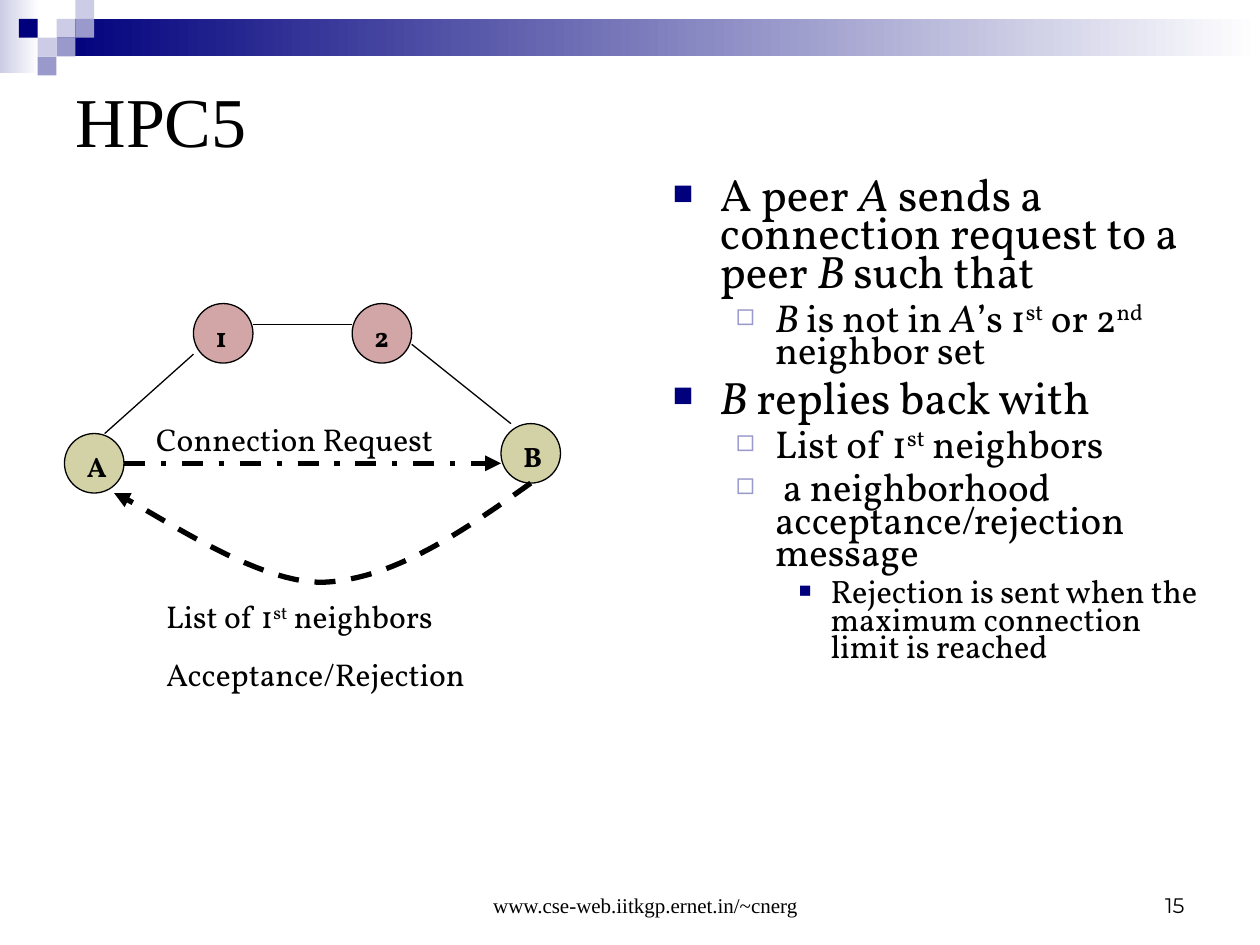
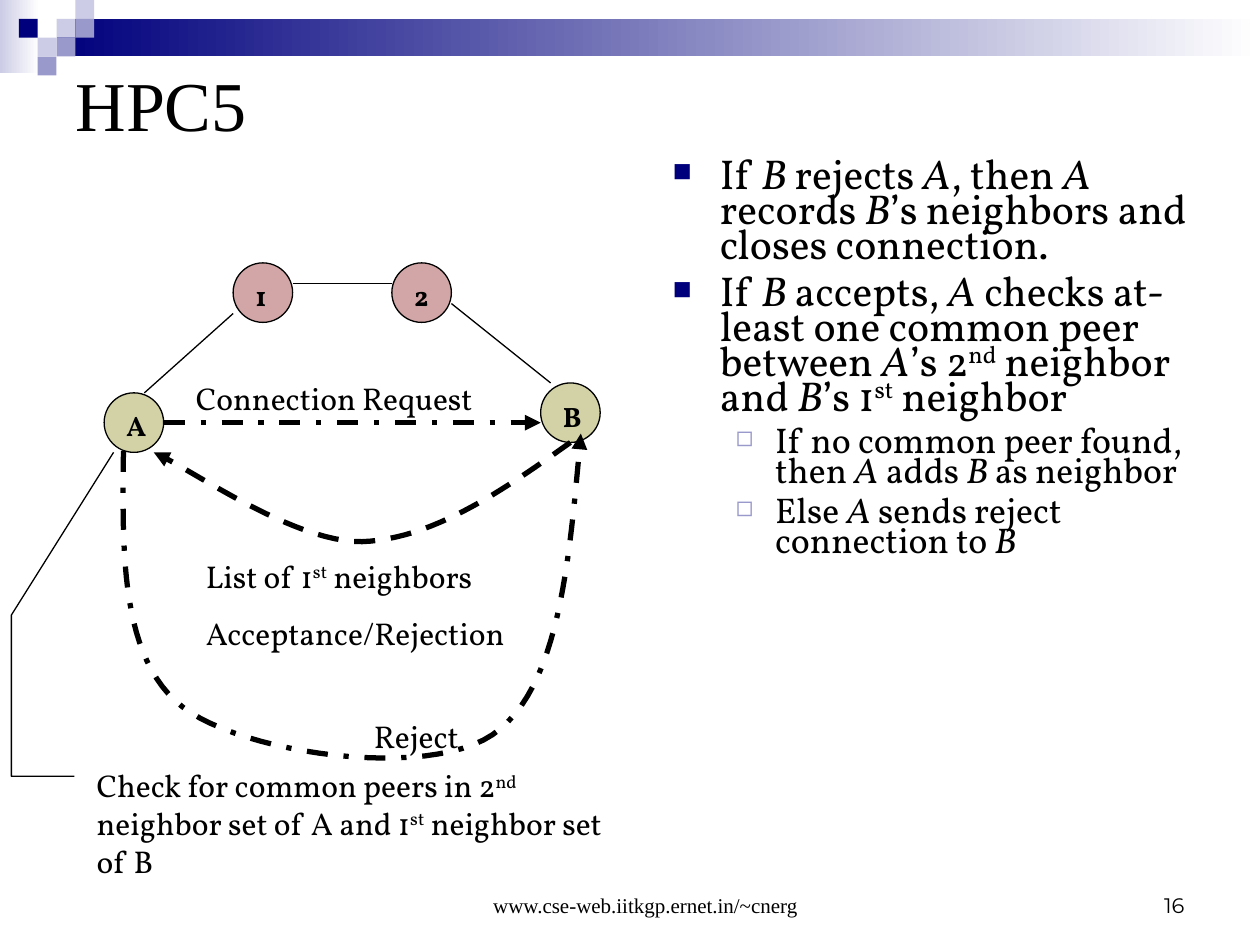
from lxml.etree import SubElement
from pptx import Presentation
from pptx.dml.color import RGBColor
from pptx.enum.dml import MSO_LINE
from pptx.enum.shapes import MSO_CONNECTOR, MSO_SHAPE
from pptx.enum.text import MSO_ANCHOR, MSO_AUTO_SIZE, PP_ALIGN
from pptx.oxml.ns import qn
from pptx.util import Cm, Pt

BLACK = RGBColor(0x00, 0x00, 0x00)
WHITE = RGBColor(0xFF, 0xFF, 0xFF)
NAVY = RGBColor(0x00, 0x00, 0x7D)
LAVENDER = RGBColor(0x99, 0x99, 0xCC)
PALE = RGBColor(0xCC, 0xCC, 0xE6)
OLIVE = RGBColor(0x80, 0x80, 0x00)
MAROON = RGBColor(0x80, 0x00, 0x00)

SERIF, TEXT_FONT, NUMBER_FONT = "Times New Roman", "Vollkorn", "Montserrat"
TITLE = {"size": Pt(40), "name": SERIF}
LABEL = {"size": Pt(18), "name": TEXT_FONT}
NODE = {"size": Pt(16), "name": TEXT_FONT, "bold": True}
FOOTER = {"size": Pt(12), "name": SERIF}
PAGE_NUMBER = {"size": Pt(12), "name": NUMBER_FONT}

# Per list level: font size, space before, left margin, indent, bullet, colour, bullet size
LEVELS = [
    (28, 7, 0.95, -0.95, "■", NAVY, 75),
    (24, 6, 2.06, -0.79, "◻", LAVENDER, 80),
    (20, 5, 3.18, -0.64, "■", NAVY, 65),
]

SQUARE = 0.38
MOSAIC = [(3, 1, PALE), (4, 0, PALE), (4, 1, LAVENDER), (2, 2, PALE),
          (1, 1, NAVY), (3, 2, LAVENDER), (2, 3, LAVENDER)]

# Peer diagram, in cm from the corner of node A
NODES = [("A", 0, 0, OLIVE), ("1", 2.6, -2.62, MAROON),
         ("2", 5.8, -2.62, MAROON), ("B", 8.8, -0.2, OLIVE)]
NEIGHBOR_LINKS = [((0.81, 0), (2.6, -1.6)), ((3.8, -2.2), (5.8, -2.2)),
                  ((7, -1.8), (9, -0.2))]
REPLY_CURVE = [(9.4, 1), (8, 2), (6.6, 2.95), (5.2, 3), (3.8, 3.02), (1.7, 1.5), (1, 1.2)]

REJECT_CURVE = [(2.49, 9.09), (2.46, 11.2), (2.44, 13.28), (3.68, 14.25), (4.9, 15.19),
                (8.59, 15.72), (9.93, 14.81), (11.28, 13.89), (11.48, 11.3), (11.71, 8.74)]
CHECK_LEADER = [(1.5, 15.65), (0.23, 15.65), (0.23, 12.4), (2.29, 9.12)]

# In all texts "|" parts spans; a leading "/" makes one italic, "^" raises it
REQUEST_POINTS = [
    (0, "A peer |/A| sends a connection request to a peer |/B| such that"),
    (1, "/B| is not in |/A|’s 1|^st| or 2|^nd| neighbor set"),
    (0, "/B| replies back with"),
    (1, "List of 1|^st| neighbors"),
    (1, " a neighborhood acceptance/rejection message"),
    (2, "Rejection is sent when the maximum connection limit is reached"),
]
DECISION_POINTS = [
    (0, "If |/B| rejects |/A|, then |/A| records |/B|’s neighbors and closes connection."),
    (0, "If |/B| accepts, |/A| checks at-least one common peer between "
        "|/A|’s 2|^nd| neighbor and |/B|’s 1|^st| neighbor"),
    (1, "If no common peer found, then |/A| adds |/B| as neighbor"),
    (1, "Else |/A| sends reject connection to |/B"),
]


def set_all(target, values):
    for name, value in values.items():
        setattr(target, name, value)


def place(shape, left, top, width, height):
    set_all(shape, {"left": Cm(left), "top": Cm(top),
                    "width": Cm(width), "height": Cm(height)})


def bezier_points(controls, steps=24):
    """Sample a chain of cubic curves whose neighbours share an end point."""
    points = [controls[0]]
    for first in range(0, len(controls) - 1, 3):
        segment = controls[first:first + 4]
        for step in range(1, steps + 1):
            t = step / steps
            weights = ((1 - t) ** 3, 3 * t * (1 - t) ** 2, 3 * t * t * (1 - t), t ** 3)
            points.append(tuple(sum(w * p[axis] for w, p in zip(weights, segment))
                                for axis in (0, 1)))
    return points


class DeckBuilder:
    def __init__(self):
        self.deck = Presentation()
        set_all(self.deck, {"slide_width": Cm(25.4), "slide_height": Cm(19.05)})
        self.page = None

    def new_page(self, number):
        self.page = self.deck.slides.add_slide(self.deck.slide_layouts[1])
        self.gradient_bar(0, 0, 0.79, 1.47, PALE)
        self.gradient_bar(1.14, SQUARE, 24.26, 2 * SQUARE, NAVY)
        for column, row, color in MOSAIC:
            square = self.shape(MSO_SHAPE.RECTANGLE, column * SQUARE, row * SQUARE,
                                SQUARE, SQUARE)
            square.fill.solid()
            square.fill.fore_color.rgb = color
            square.line.fill.background()
        footer = self.text(8.69, 17.35, 8.05, 1.27, ["www.cse-web.iitkgp.ernet.in/~cnerg"],
                           FOOTER, PP_ALIGN.CENTER, MSO_ANCHOR.BOTTOM)
        footer.paragraphs[0]._p.get_or_add_pPr().set("marL", str(Cm(0.6)))
        self.text(18.21, 17.35, 5.92, 1.27, [number], PAGE_NUMBER,
                  PP_ALIGN.RIGHT, MSO_ANCHOR.BOTTOM)

    def shape(self, kind, left, top, width, height):
        shape = self.page.shapes.add_shape(kind, Cm(left), Cm(top), Cm(width), Cm(height))
        shape.shadow.inherit = False
        return shape

    def gradient_bar(self, left, top, width, height, color):
        bar = self.shape(MSO_SHAPE.RECTANGLE, left, top, width, height)
        bar.fill.gradient()
        bar.fill.gradient_angle = 180
        for stop, stop_color in zip(bar.fill.gradient_stops, (WHITE, color)):
            stop.color.rgb = stop_color
        bar.line.fill.background()

    def spans(self, para, marked_text, style):
        for part in marked_text.split("|"):
            span = para.add_run()
            span.text = part[1:] if part[0] in "/^" else part
            set_all(span.font, style)
            span.font.color.rgb = BLACK
            if part[0] == "/":
                span.font.italic = True
            elif part[0] == "^":
                span._r.get_or_add_rPr().set("baseline", "30000")

    def text(self, left, top, width, height, lines, style,
             align=PP_ALIGN.LEFT, anchor=MSO_ANCHOR.TOP):
        box = self.page.shapes.add_textbox(Cm(left), Cm(top), Cm(width), Cm(height))
        frame = box.text_frame
        set_all(frame, {"word_wrap": True, "vertical_anchor": anchor})
        for index, line in enumerate(lines):
            para = frame.add_paragraph() if index else frame.paragraphs[0]
            set_all(para, {"alignment": align, "space_before": Pt(11.2 if index else 0)})
            self.spans(para, line, style)
        return frame

    def title(self, words, height):
        title = self.page.shapes.title
        place(title, 1.27, 1.27, 22.86, height)
        set_all(title.text_frame, {"vertical_anchor": MSO_ANCHOR.MIDDLE,
                                   "auto_size": MSO_AUTO_SIZE.NONE})
        para = title.text_frame.paragraphs[0]
        para.alignment = PP_ALIGN.LEFT
        self.spans(para, words, TITLE)

    def bullets(self, points, top, scale):
        body = self.page.placeholders[1]
        place(body, 13.31, top, 11.25, 10.8)
        frame = body.text_frame
        set_all(frame, {"vertical_anchor": MSO_ANCHOR.TOP, "auto_size": MSO_AUTO_SIZE.NONE})
        for index, (level, words) in enumerate(points):
            size, before, margin, indent, mark, color, percent = LEVELS[level]
            para = frame.add_paragraph() if index else frame.paragraphs[0]
            set_all(para, {"level": level, "line_spacing": 0.7,
                           "space_before": Pt(before if index else 0)})
            props = para._p.get_or_add_pPr()
            props.set("marL", str(Cm(margin)))
            props.set("indent", str(Cm(indent)))
            SubElement(SubElement(props, qn("a:buClr")), qn("a:srgbClr"), val=str(color))
            SubElement(props, qn("a:buSzPct"), val=str(percent * 1000))
            SubElement(props, qn("a:buChar"), char=mark)
            self.spans(para, words, {"size": Pt(size * scale), "name": TEXT_FONT})

    def stroke(self, shape, width=0.75, dash=None, arrow=False):
        shape.line.color.rgb = BLACK
        shape.line.width = Pt(width)
        if dash:
            shape.line.dash_style = dash
        if arrow:
            SubElement(shape.line._get_or_add_ln(), qn("a:tailEnd"), type="triangle")

    def line(self, start, end, **stroke):
        link = self.page.shapes.add_connector(MSO_CONNECTOR.STRAIGHT,
                                              *(Cm(value) for value in start + end))
        self.stroke(link, **stroke)
        SubElement(link._element.spPr, qn("a:effectLst"))

    def outline(self, points, **stroke):
        (first, *rest) = [(Cm(x), Cm(y)) for x, y in points]
        builder = self.page.shapes.build_freeform(*first, scale=1.0)
        shape = builder.add_line_segments(rest, close=False).convert_to_shape()
        shape.shadow.inherit = False
        shape.fill.background()
        self.stroke(shape, **stroke)

    def node(self, name, left, top, color):
        circle = self.shape(MSO_SHAPE.OVAL, left, top, 1.2, 1.2)
        circle.fill.solid()
        circle.fill.fore_color.rgb = color
        tint = circle._element.spPr.find(".//" + qn("a:srgbClr"))
        SubElement(tint, qn("a:alpha"), val="35000")
        self.stroke(circle)
        self.text(left + 0.2, top + 0.2, 0.79, 0.94, [name], NODE)

    def peer_diagram(self, left, top):
        def shifted(point):
            return (left + point[0], top + point[1])

        for name, x, y, color in NODES:
            self.node(name, left + x, top + y, color)
        for start, end in NEIGHBOR_LINKS:
            self.line(shifted(start), shifted(end))
        self.line(shifted((1.2, 0.6)), shifted((8.8, 0.6)),
                  width=3, dash=MSO_LINE.DASH_DOT, arrow=True)
        self.text(*shifted((1.6, -0.4)), 6.4, 1.78, ["Connection Request"], LABEL)
        self.outline(bezier_points([shifted(point) for point in REPLY_CURVE]),
                     width=3, dash=MSO_LINE.DASH, arrow=True)
        self.text(*shifted((1.8, 3.18)), 7.6, 2.18,
                  ["List of 1|^st| neighbors", "Acceptance/Rejection"], LABEL)


def main():
    builder = DeckBuilder()

    builder.new_page("15")
    builder.title("HPC5", 2.26)
    builder.bullets(REQUEST_POINTS, 3.53, 0.925)
    builder.peer_diagram(1.3, 8.74)

    builder.new_page("16")
    builder.title("HPC5", 1.65)
    builder.bullets(DECISION_POINTS, 3.12, 0.85)
    builder.peer_diagram(2.1, 7.92)
    builder.text(1.7, 15.32, 11.2, 2.54,
                 ["Check for common peers in 2|^nd| neighbor set of A and 1|^st| neighbor set of B"],
                 LABEL)
    builder.outline(CHECK_LEADER)
    builder.outline(bezier_points(REJECT_CURVE),
                    width=3, dash=MSO_LINE.DASH_DOT, arrow=True)
    builder.text(7.29, 14.33, 2.79, 1.02, ["Reject"], LABEL)

    builder.deck.save("out.pptx")


if __name__ == "__main__":
    main()
